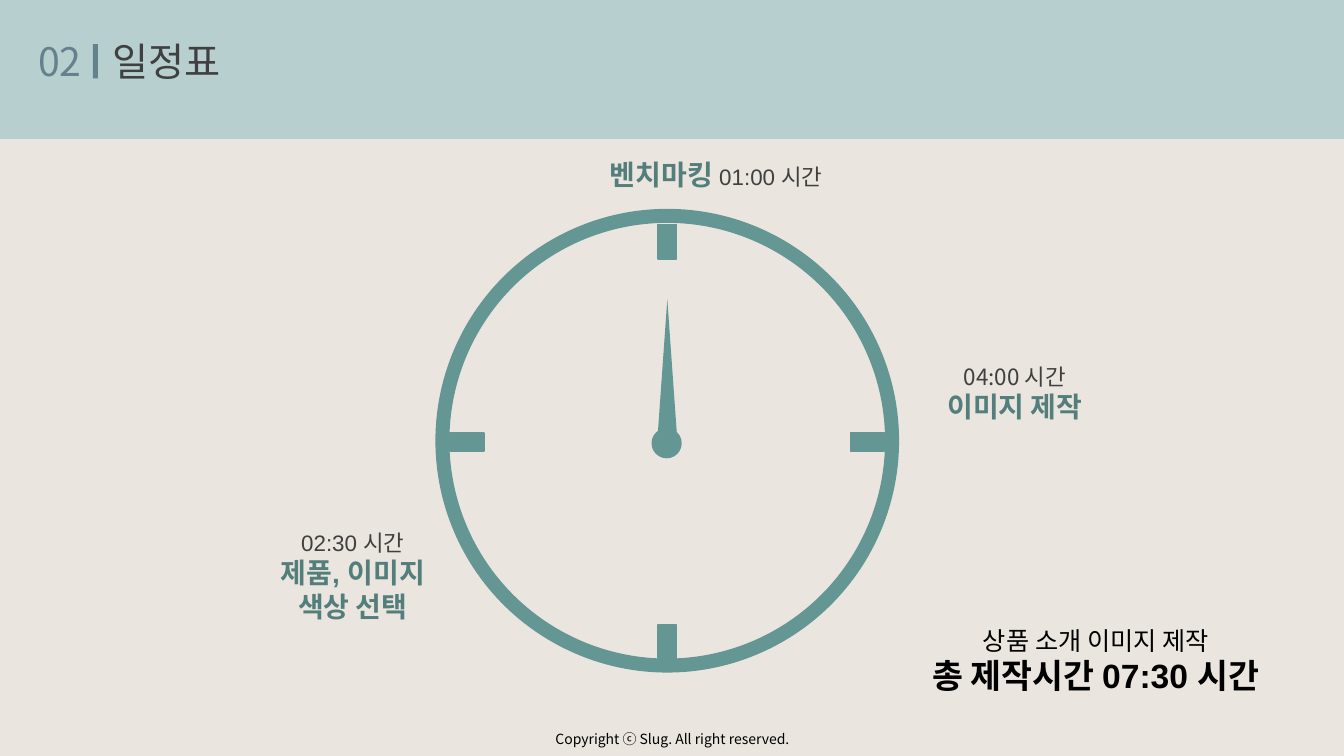
import math

import pptx
import pptx.dml.color
import pptx.enum.shapes
import pptx.enum.text
import pptx.oxml.ns
import pptx.util
from lxml import etree

Pt = pptx.util.Pt
SHAPE = pptx.enum.shapes.MSO_SHAPE
ALIGN = pptx.enum.text.PP_ALIGN
KOREAN = "Noto Sans CJK KR"
COLORS = {
    "background": "EAE6DF", "band": "B7CFCE", "number": "64818D",
    "text": "404040", "heading": "547E7C", "clock": "649694", "black": "000000",
}


def rgb(name):
    return pptx.dml.color.RGBColor.from_string(COLORS[name])


def set_font(font, size, color, bold=False, name=KOREAN):
    """Format a run or paragraph font, with the Korean face for East Asian text."""
    font.size, font.bold, font.name = Pt(size), bold, name
    font.color.rgb = rgb(color)
    latin = font._element.find(pptx.oxml.ns.qn("a:latin"))
    ea = etree.Element(pptx.oxml.ns.qn("a:ea"), typeface=KOREAN)
    latin.addnext(ea)


def fill_frame(tf, lines, align, wrap):
    """Write lines of (text, size, color, bold, font name) as paragraphs."""
    tf.word_wrap = wrap
    tf.auto_size = pptx.enum.text.MSO_AUTO_SIZE.SHAPE_TO_FIT_TEXT
    tf.vertical_anchor = pptx.enum.text.MSO_ANCHOR.TOP
    for i, (text, *style) in enumerate(lines):
        p = tf.add_paragraph() if i else tf.paragraphs[0]
        p.alignment = align
        p.add_run().text = text
        set_font(p.font, *style)


def add_text(s, box, lines, align=ALIGN.CENTER, wrap=False):
    sp = s.shapes.add_textbox(*map(Pt, box))
    fill_frame(sp.text_frame, lines, align, wrap)
    return sp


def add_shape(s, kind, box, fill=None, line=None, width=1):
    sp = s.shapes.add_shape(kind, *map(Pt, box))
    sp.shadow.inherit = False
    if fill:
        sp.fill.solid()
        sp.fill.fore_color.rgb = rgb(fill)
    else:
        sp.fill.background()
    if line:
        sp.line.color.rgb = rgb(line)
        sp.line.width = Pt(width)
    else:
        sp.line.fill.background()
    return sp


def add_header(s):
    title = s.shapes.title
    title.left, title.top, title.width, title.height = map(Pt, (73.4, 23, 212.4, 41))
    fill_frame(title.text_frame, [("일정표", 28, "text")], ALIGN.LEFT, True)
    band = add_shape(s, SHAPE.RECTANGLE, (0, 0, 960, 99.3), "band")
    title.element.addprevious(band.element)
    add_text(s, (20.2, 23, 53.3, 41), [("02", 28, "number")], ALIGN.LEFT, True)
    add_shape(s, SHAPE.RECTANGLE, (66.3, 31.5, 3.6, 24.5), "number")


def add_clock(s, cx, cy):
    add_shape(s, SHAPE.ISOSCELES_TRIANGLE, (cx - 6.8, cy - 101, 13.7, 96.5), "clock")
    add_shape(s, SHAPE.OVAL, (cx - 11.2, cy - 9, 21.6, 21.6), "clock")
    radius = 160.6
    add_shape(s, SHAPE.OVAL, (cx - radius, cy - radius, 2 * radius, 2 * radius),
              line="clock", width=10)
    w, h, reach = 13, 24.5, 143
    for angle in range(0, 360, 90):
        x = cx + reach * math.sin(math.radians(angle))
        y = cy + 0.9 - reach * math.cos(math.radians(angle))
        tick = add_shape(s, SHAPE.RECTANGLE, (x - w / 2, y - h / 2, w, h),
                         "clock", "clock")
        tick.rotation = angle % 180


def add_labels(s):
    add_text(s, (187.9, 374.4, 128.2, 74.9), [
        ("02:30 시간", 16, "text", False, "Arial"),
        ("제품, 이미지", 20, "heading", True, "Arial"),
        ("색상 선택", 20, "heading", True, "Arial")])
    benchmark = add_text(s, (428.4, 108.7, 180, 31.7), [], ALIGN.LEFT)
    p = benchmark.text_frame.paragraphs[0]
    for text, *style in (("벤치마킹 ", 20, "heading", True),
                         ("01:00 시간", 16, "text", False, "Arial")):
        r = p.add_run()
        r.text = text
        set_font(r.font, *style)
    add_text(s, (663.8, 255.6, 122.4, 51.1), [
        ("04:00 시간", 16, "text"), ("이미지 제작", 20, "heading", True)])
    add_text(s, (646.6, 442.8, 272.2, 58.3), [
        ("상품 소개 이미지 제작", 18, "black"),
        ("총 제작시간 07:30 시간", 24, "black", True, "Arial")])


def main():
    prs = pptx.Presentation()
    prs.slide_width, prs.slide_height = Pt(960), Pt(540)
    s = prs.slides.add_slide(prs.slide_layouts.get_by_name("Title Only"))
    s.background.fill.solid()
    s.background.fill.fore_color.rgb = rgb("background")
    add_header(s)
    add_text(s, (355.7, 518.4, 249.1, 19.4),
             [("Copyright ⓒ Slug. All right reserved.", 10, "black")], wrap=True)
    add_labels(s)
    add_clock(s, 476.6, 314.8)
    prs.save("out.pptx")


if __name__ == "__main__":
    main()
